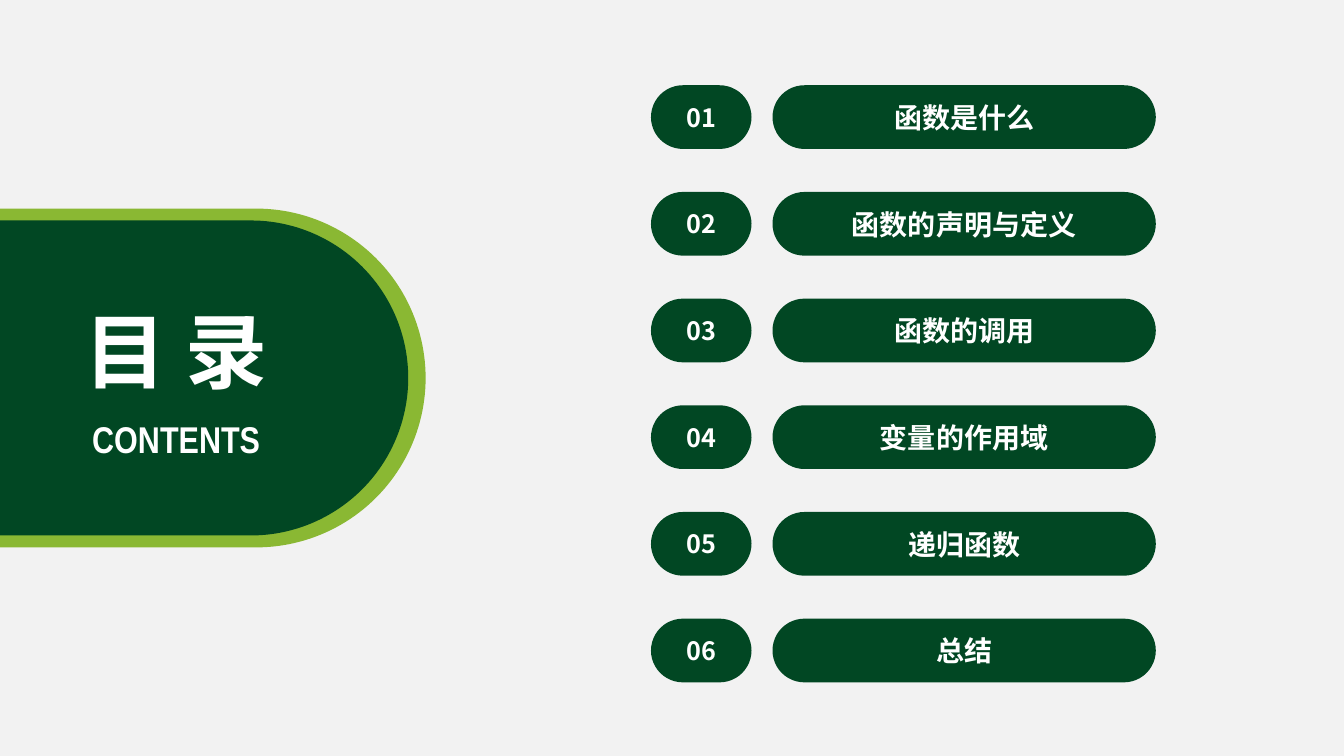
"""Build a contents slide with a title pill and six numbered topics."""
import dataclasses

import lxml.etree
import pptx
import pptx.dml.color
import pptx.enum.shapes
import pptx.enum.text
import pptx.oxml.ns
import pptx.util

Pt = pptx.util.Pt


@dataclasses.dataclass(frozen=True)
class Theme:
    """Colours, fonts and type sizes of the slide."""
    background: str = "F2F2F2"
    dark: str = "014723"
    lime: str = "8AB833"
    white: str = "FFFFFF"
    chinese: str = "Noto Sans CJK SC"
    narrow: str = "Arial Narrow"
    title: float = 58.6
    subtitle: float = 26.6
    topic: float = 20
    number: float = 18


THEME = Theme()
TOPICS = ["函数是什么", "函数的声明与定义", "函数的调用", "变量的作用域", "递归函数", "总结"]
FIRST_TOP, PITCH, ROW_HEIGHT = 60.9, 76.2, 45.5


def rgb(value):
    """Return the colour object for a hex value."""
    return pptx.dml.color.RGBColor.from_string(value)


def set_text(sp, text, size, font):
    """Write one centred bold white line into a shape."""
    tf = sp.text_frame
    tf.text = text
    p = tf.paragraphs[0]
    p.alignment = pptx.enum.text.PP_ALIGN.CENTER
    r = p.runs[0]
    r.font.size = Pt(size)
    r.font.bold = True
    r.font.name = font
    r.font.color.rgb = rgb(THEME.white)
    ea = lxml.etree.SubElement(r.font._element, pptx.oxml.ns.qn("a:ea"))
    ea.set("typeface", font)


def add_pill(s, left, top, width, height, color):
    """Add a fully rounded, borderless rectangle."""
    kind = pptx.enum.shapes.MSO_SHAPE.ROUNDED_RECTANGLE
    sp = s.shapes.add_shape(kind, Pt(left), Pt(top), Pt(width), Pt(height))
    sp.adjustments[0] = 0.5
    sp.shadow.inherit = False
    sp.fill.solid()
    sp.fill.fore_color.rgb = rgb(color)
    sp.line.fill.background()
    return sp


def add_label(s, text, left, top, width, height, size, font):
    """Add an unwrapped text box that grows with its text."""
    sp = s.shapes.add_textbox(Pt(left), Pt(top), Pt(width), Pt(height))
    sp.text_frame.word_wrap = False
    sp.text_frame.auto_size = pptx.enum.text.MSO_AUTO_SIZE.SHAPE_TO_FIT_TEXT
    set_text(sp, text, size, font)


def add_topic(s, index, topic):
    """Add one row made of a number pill and a topic pill."""
    top = FIRST_TOP + index * PITCH
    badge = add_pill(s, 465, top, 71.8, ROW_HEIGHT, THEME.dark)
    bar = add_pill(s, 551.8, top, 273.8, ROW_HEIGHT, THEME.dark)
    set_text(badge, f"{index + 1:02}", THEME.number, THEME.chinese)
    set_text(bar, topic, THEME.topic, THEME.chinese)
    for sp in (badge, bar):
        sp.text_frame.vertical_anchor = pptx.enum.text.MSO_ANCHOR.MIDDLE


def main():
    """Build and save the slide."""
    prs = pptx.Presentation()
    prs.slide_width, prs.slide_height = Pt(960), Pt(540)
    s = prs.slides.add_slide(prs.slide_layouts[6])
    s.background.fill.solid()
    s.background.fill.fore_color.rgb = rgb(THEME.background)

    add_pill(s, -141, 149, 445, 242, THEME.lime)
    add_pill(s, -122.4, 157.5, 414, 225, THEME.dark)
    add_label(s, "目 录", 50.4, 211, 150.5, 78.5, THEME.title, THEME.chinese)
    add_label(s, "CONTENTS", 44.6, 293.8, 162.7, 39.6, THEME.subtitle, THEME.narrow)
    for index, topic in enumerate(TOPICS):
        add_topic(s, index, topic)
    prs.save("out.pptx")


if __name__ == "__main__":
    main()
